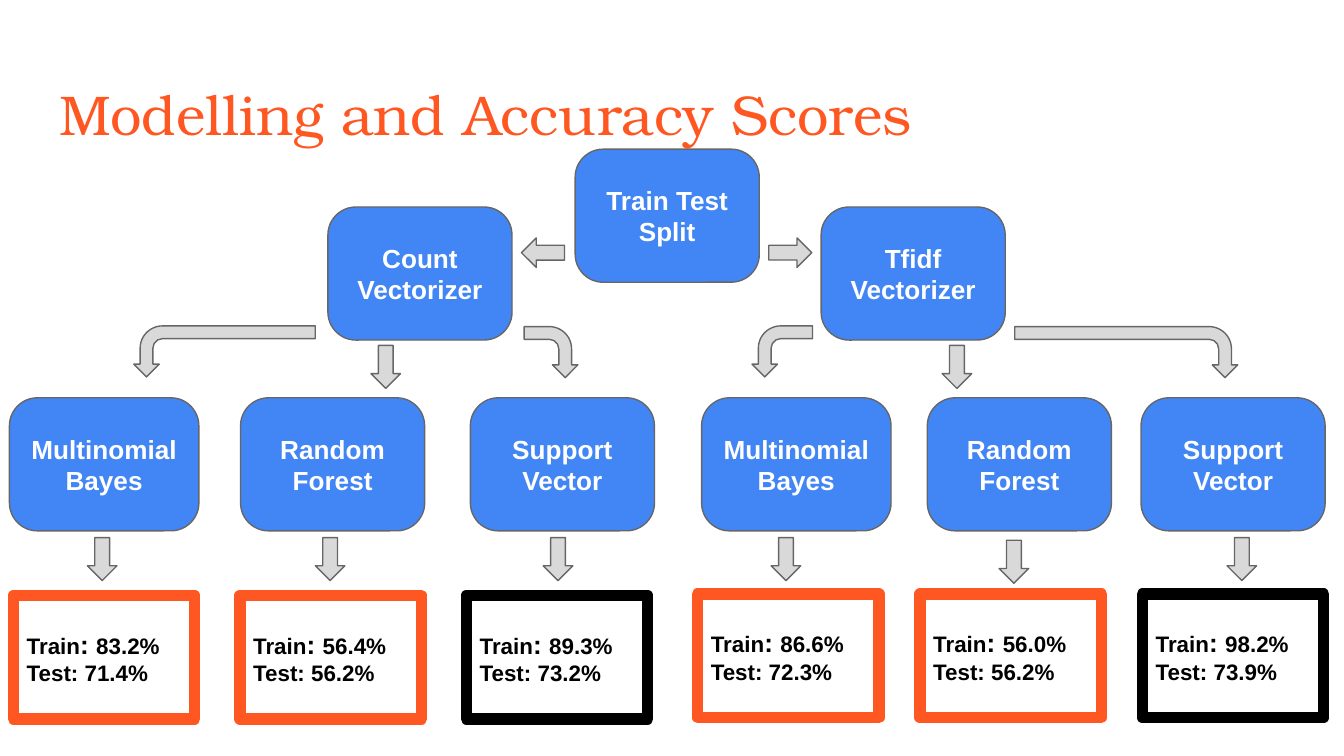
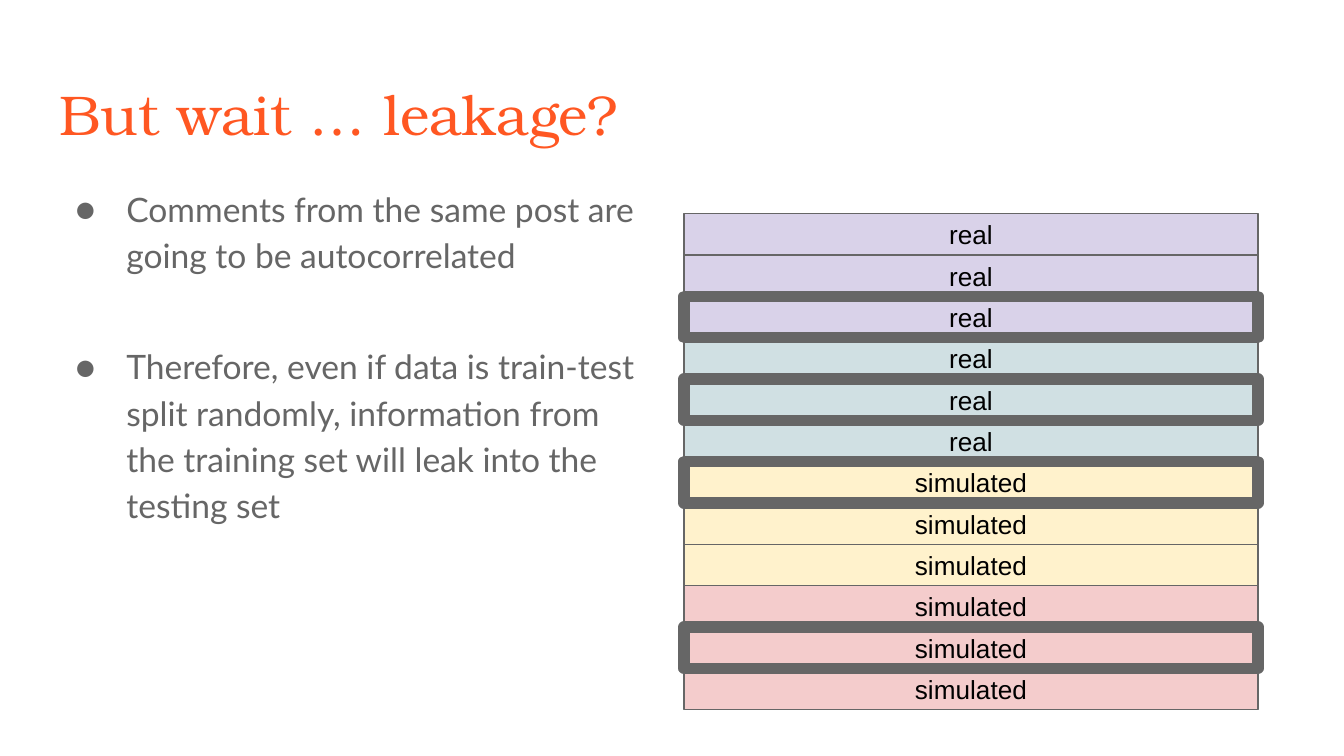
from dataclasses import dataclass

from lxml import etree
from pptx import Presentation
from pptx.dml.color import RGBColor
from pptx.enum.shapes import MSO_SHAPE
from pptx.enum.text import MSO_ANCHOR, MSO_AUTO_SIZE, PP_ALIGN
from pptx.oxml.ns import qn
from pptx.util import Inches, Pt

RECTANGLE = MSO_SHAPE.RECTANGLE
ROUNDED = MSO_SHAPE.ROUNDED_RECTANGLE
STRAIGHT_ARROW = MSO_SHAPE.RIGHT_ARROW
BENT_ARROW = MSO_SHAPE.BENT_ARROW
LEFT, CENTER = PP_ALIGN.LEFT, PP_ALIGN.CENTER
TOP, MIDDLE = MSO_ANCHOR.TOP, MSO_ANCHOR.MIDDLE
NO_AUTOFIT = MSO_AUTO_SIZE.NONE
TITLE_ONLY, TITLE_AND_BODY = 5, 1


@dataclass(frozen=True)
class Theme:
    accent: str = "FF5722"
    grey: str = "666666"
    node: str = "4285F4"
    arrow: str = "D9D9D9"
    black: str = "000000"
    white: str = "FFFFFF"
    groups: tuple = ("D9D2E9", "D0E0E3", "FFF2CC", "F4CCCC")
    title_font: str = "TeX Gyre Bonum"
    body_font: str = "Lato"
    label_font: str = "Arial"
    title_size: int = 30
    body_size: int = 18
    label_size: int = 14
    score_size: int = 12
    thin: float = 0.75
    thick: float = 6


THEME = Theme()


@dataclass(frozen=True)
class Box:
    left: float
    top: float
    width: float
    height: float

    def lengths(self) -> tuple:
        return tuple(Inches(v) for v in (self.left, self.top, self.width, self.height))


@dataclass(frozen=True)
class Arrow:
    box: Box
    kind: int = STRAIGHT_ARROW
    rotation: int = 0
    flipped: bool = False


@dataclass(frozen=True)
class Model:
    name: str
    left: float
    width: float
    train: str
    test: str
    best: bool = False
    arrow_top: float = 4.05


@dataclass(frozen=True)
class Branch:
    """A vectorizer, its models, and the row of score boxes below them."""
    name: str
    left: float
    first_score_left: float
    last_score_left: float
    scores_top: float
    models: tuple


# Flow chart data
NODE_WIDTH, WIDE_NODE, NODE_HEIGHT = 1.37, 1.41, 0.99
VECTORIZER_TOP, MODEL_TOP = 1.54, 2.96
ARROW_LENGTH, ARROW_WIDTH, BEND = 0.32, 0.22, 0.38
FIRST_SCORE_ARROW, LAST_SCORE_ARROW = 0.6, 9.08
SCORE_WIDTH, SCORE_HEIGHT = 1.35, 0.92

BRANCHES = (
    Branch("Count\nVectorizer", 2.44, 0.1, 3.47, 4.43, (
        Model("Multinomial\nBayes", 0.07, WIDE_NODE, "83.2%", "71.4%"),
        Model("Random\nForest", 1.79, NODE_WIDTH, "56.4%", "56.2%"),
        Model("Support\nVector", 3.5, NODE_WIDTH, "89.3%", "73.2%", best=True),
    )),
    Branch("Tfidf\nVectorizer", 6.11, 5.19, 8.5, 4.42, (
        Model("Multinomial\nBayes", 5.22, WIDE_NODE, "86.6%", "72.3%"),
        Model("Random\nForest", 6.9, NODE_WIDTH, "56.0%", "56.2%", arrow_top=4.07),
        Model("Support\nVector", 8.49, NODE_WIDTH, "98.2%", "73.9%", best=True),
    )),
)


def straight(left: float, top: float, rotation: int = 90) -> Arrow:
    return Arrow(Box(left, top, ARROW_LENGTH, ARROW_WIDTH), rotation=rotation)


def bent(left: float, top: float, length: float, to_left: bool) -> Arrow:
    rotation = 270 if to_left else 90
    return Arrow(Box(left, top, BEND, length), BENT_ARROW, rotation, to_left)


FLOW_ARROWS = (
    straight(3.88, 1.77, 180),
    straight(5.72, 1.77, 0),
    bent(1.48, 1.94, 1.35, True),
    straight(2.71, 2.62),
    bent(3.91, 2.42, 0.4, False),
    bent(5.63, 2.39, 0.45, True),
    straight(6.96, 2.62),
    bent(8.19, 1.79, 1.66, False),
)

# Leakage slide data
BULLETS = (
    "Comments from the same post are going to be autocorrelated",
    "Therefore, even if data is train-test split randomly, information from "
    "the training set will leak into the testing set",
)
STACK = Box(5.09, 1.59, 4.27, 3.69)
ROW_COUNT, GROUP_SIZE, REAL_ROWS = 12, 3, 6
TEST_ROWS = (2, 4, 6, 10)


# Shared drawing
def rgb(color: str) -> RGBColor:
    return RGBColor.from_string(color)


def spread(first: float, last: float, count: int) -> list[float]:
    return [first + index * (last - first) / (count - 1) for index in range(count)]


def set_values(target, values: dict) -> None:
    for name, value in values.items():
        setattr(target, name, value)


def format_font(font, name: str, size: float, color: str, bold: bool = False) -> None:
    set_values(font, {"name": name, "size": Pt(size), "bold": bold})
    font.color.rgb = rgb(color)


def add_block(slide, kind: int, box: Box, fill: str | None,
              line: str = THEME.grey, line_width: float = THEME.thin):
    shape = slide.shapes.add_shape(kind, *box.lengths())
    shape.shadow.inherit = False
    if fill is None:
        shape.fill.background()
    else:
        shape.fill.solid()
        shape.fill.fore_color.rgb = rgb(fill)
    shape.line.color.rgb = rgb(line)
    shape.line.width = Pt(line_width)
    return shape


def add_label(shape, text: str, color: str, bold: bool = False) -> None:
    frame = shape.text_frame
    frame.text = text
    set_values(frame, {"word_wrap": True, "vertical_anchor": MIDDLE})
    for paragraph in frame.paragraphs:
        paragraph.alignment = CENTER
        format_font(paragraph.runs[0].font, THEME.label_font, THEME.label_size, color, bold)


def place_placeholder(placeholder, box: Box) -> None:
    names = ("left", "top", "width", "height")
    set_values(placeholder, dict(zip(names, box.lengths())))
    margins = ("margin_left", "margin_top", "margin_right", "margin_bottom")
    set_values(placeholder.text_frame, {
        "word_wrap": True, "auto_size": NO_AUTOFIT, "vertical_anchor": TOP,
        **dict.fromkeys(margins, Inches(0.1)),
    })


def add_titled_slide(presentation, layout: int, title: str):
    slide = presentation.slides.add_slide(presentation.slide_layouts[layout])
    place_placeholder(slide.shapes.title, Box(0.34, 0.49, 9.32, 0.63))
    paragraph = slide.shapes.title.text_frame.paragraphs[0]
    paragraph.text = title
    paragraph.alignment = LEFT
    format_font(paragraph.runs[0].font, THEME.title_font, THEME.title_size, THEME.accent)
    return slide


# Flow chart
def add_node(slide, text: str, left: float, top: float, width: float = NODE_WIDTH) -> None:
    shape = add_block(slide, ROUNDED, Box(left, top, width, NODE_HEIGHT), THEME.node)
    shape.adjustments[0] = 0.21
    add_label(shape, text, THEME.white, bold=True)


def add_arrow(slide, arrow: Arrow) -> None:
    shape = add_block(slide, arrow.kind, arrow.box, THEME.arrow)
    shape.rotation = arrow.rotation
    if arrow.flipped:
        shape.element.spPr.find(qn("a:xfrm")).set("flipH", "1")


def add_score(slide, model: Model, left: float, top: float) -> None:
    shape = add_block(slide, RECTANGLE, Box(left, top, SCORE_WIDTH, SCORE_HEIGHT), None,
                      THEME.black if model.best else THEME.accent, THEME.thick)
    frame = shape.text_frame
    set_values(frame, {"word_wrap": True, "vertical_anchor": MIDDLE})
    small, large = THEME.score_size, THEME.label_size
    lines = (
        (("Train", small), (": ", large), (model.train, small)),
        ((f"Test: {model.test}", small),),
    )
    for index, parts in enumerate(lines):
        paragraph = frame.add_paragraph() if index else frame.paragraphs[0]
        paragraph.alignment = LEFT
        for text, size in parts:
            run = paragraph.add_run()
            run.text = text
            format_font(run.font, THEME.label_font, size, THEME.black, bold=True)


def build_modelling_slide(presentation) -> None:
    slide = add_titled_slide(presentation, TITLE_ONLY, "Modelling and Accuracy Scores")
    add_node(slide, "Train Test\nSplit", 4.28, 1.11)
    for arrow in FLOW_ARROWS:
        add_arrow(slide, arrow)
    model_count = sum(len(branch.models) for branch in BRANCHES)
    arrow_lefts = iter(spread(FIRST_SCORE_ARROW, LAST_SCORE_ARROW, model_count))
    for branch in BRANCHES:
        add_node(slide, branch.name, branch.left, VECTORIZER_TOP)
        score_lefts = spread(branch.first_score_left, branch.last_score_left,
                             len(branch.models))
        for model, score_left in zip(branch.models, score_lefts):
            add_node(slide, model.name, model.left, MODEL_TOP, model.width)
            add_arrow(slide, straight(next(arrow_lefts), model.arrow_top))
            add_score(slide, model, score_left, branch.scores_top)


# Leakage slide
def add_bullet(paragraph, text: str, space_before: float) -> None:
    paragraph.text = text
    set_values(paragraph, {"alignment": LEFT, "line_spacing": 1.15,
                           "space_before": Pt(space_before)})
    format_font(paragraph.runs[0].font, THEME.body_font, THEME.body_size, THEME.grey)
    properties = paragraph._p.get_or_add_pPr()
    properties.set("marL", str(Inches(0.5)))
    properties.set("indent", str(Inches(-0.38)))
    bullet_color = etree.SubElement(properties, qn("a:buClr"))
    etree.SubElement(bullet_color, qn("a:srgbClr"), val=THEME.grey)
    etree.SubElement(properties, qn("a:buFont"), typeface=THEME.body_font)
    etree.SubElement(properties, qn("a:buChar"), char="●")


def add_row(slide, index: int) -> None:
    height = STACK.height / ROW_COUNT
    box = Box(STACK.left, STACK.top + index * height, STACK.width, height)
    width = THEME.thick if index in TEST_ROWS else THEME.thin
    shape = add_block(slide, RECTANGLE, box, THEME.groups[index // GROUP_SIZE],
                      line_width=width)
    add_label(shape, "real" if index < REAL_ROWS else "simulated", THEME.black)


def build_leakage_slide(presentation) -> None:
    slide = add_titled_slide(presentation, TITLE_AND_BODY, "But wait … leakage?")
    body = slide.placeholders[1]
    place_placeholder(body, Box(0.34, 1.26, 4.52, 3.74))
    frame = body.text_frame
    for index, text in enumerate(BULLETS):
        paragraph = frame.add_paragraph() if index else frame.paragraphs[0]
        add_bullet(paragraph, text, 34.6 if index else 0)
    # Test rows come last so that their heavy outlines lie on top
    for index in sorted(range(ROW_COUNT), key=lambda row: row in TEST_ROWS):
        add_row(slide, index)


def main() -> None:
    presentation = Presentation()
    # Widescreen, 16:9
    presentation.slide_width = Inches(10)
    presentation.slide_height = Inches(10) * 9 // 16
    build_modelling_slide(presentation)
    build_leakage_slide(presentation)
    presentation.save("out.pptx")


if __name__ == "__main__":
    main()
